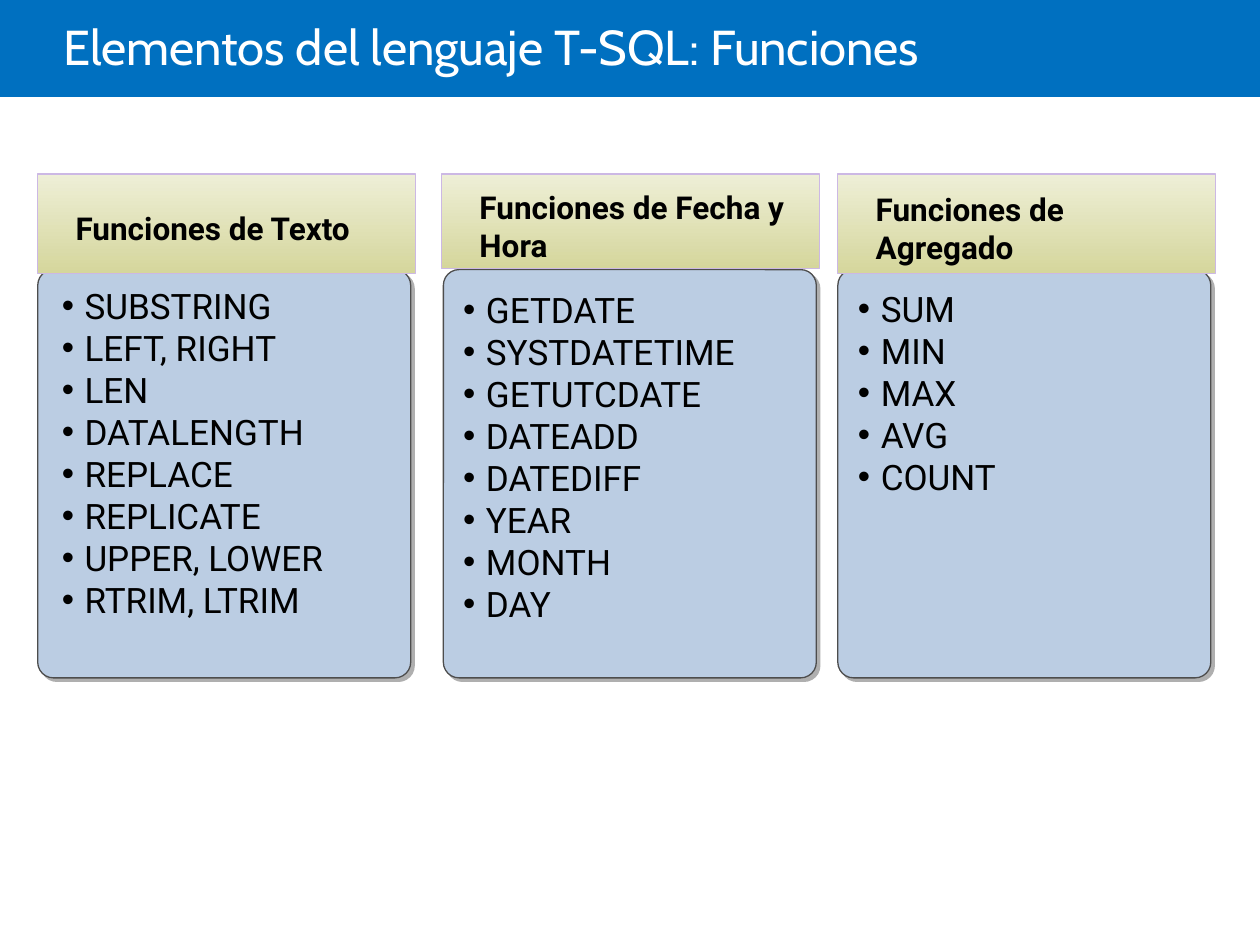
import pptx
import pptx.dml.color
import pptx.enum.shapes
import pptx.enum.text
import pptx.oxml
import pptx.oxml.ns
import pptx.util

Pt = pptx.util.Pt
SHAPE = pptx.enum.shapes.MSO_SHAPE
ANCHOR = pptx.enum.text.MSO_ANCHOR
NAMESPACE = pptx.oxml.ns.nsdecls("a")

CARD_TOP, CARD_WIDTH, CARD_HEIGHT = 154.1, 213.1, 233.3
HEADER_TOP, HEADER_WIDTH = 99.4, 216

# card left, header left and height, list left, top and width, heading, functions
COLUMNS = [
    (21.6, 21.6, 56.9, 35.3, 162.7, 190, "Funciones de Texto",
     ["SUBSTRING", "LEFT, RIGHT", "LEN", "DATALENGTH", "REPLACE",
      "REPLICATE", "UPPER, LOWER", "RTRIM, LTRIM"]),
    (253.4, 252.4, 54, 264.7, 164.6, 201.6, "Funciones de Fecha y Hora",
     ["GETDATE", "SYSTDATETIME", "GETUTCDATE", "DATEADD", "DATEDIFF",
      "YEAR", "MONTH", "DAY"]),
    (478.8, 478.8, 56.9, 490.3, 164.2, 206.6, "Funciones de Agregado",
     ["SUM", "MIN", "MAX", "AVG", "COUNT"]),
]


def rgb(value):
    return pptx.dml.color.RGBColor.from_string(value)


class SlideBuilder:
    title_font = "Cabin"
    body_font = "Roboto"
    bar_color = "0070C0"
    card_color, card_line, card_shadow = "BBCDE3", "4D4D4D", "AFAFAF"
    header_colors, header_line = ("EEEFD7", "D5D69C"), "CCB8E4"

    def __init__(self, page):
        self.page = page

    def shape(self, kind, left, top, width, height, line=None):
        shape = self.page.shapes.add_shape(
            kind, Pt(left), Pt(top), Pt(width), Pt(height))
        shape.shadow.inherit = False
        if line:
            shape.line.color.rgb = rgb(line)
            shape.line.width = Pt(0.75)
        else:
            shape.line.fill.background()
        return shape

    def set_frame(self, frame, insets, anchor):
        frame.word_wrap = True
        frame.auto_size = pptx.enum.text.MSO_AUTO_SIZE.NONE
        frame.vertical_anchor = anchor
        (frame.margin_left, frame.margin_top,
         frame.margin_right, frame.margin_bottom) = map(Pt, insets)

    def format_text(self, frame, font, size, color, bold=False):
        for para in frame.paragraphs:
            para.alignment = pptx.enum.text.PP_ALIGN.LEFT
            for span in para.runs:
                span.font.name = font
                span.font.size = Pt(size)
                span.font.bold = bold
                span.font.color.rgb = rgb(color)

    def title(self, text):
        """Fill the title placeholder and lay the blue bar behind it."""
        title = self.page.shapes.title
        title.left, title.top, title.width, title.height = map(
            Pt, (36, 0, 612, 58.3))
        frame = title.text_frame
        frame.text = text
        self.set_frame(frame, (0, 3.6, 7.2, 3.6), ANCHOR.MIDDLE)
        self.format_text(frame, self.title_font, 28, "FFFFFF")
        frame.paragraphs[0].line_spacing = 0.85
        bar = self.shape(SHAPE.RECTANGLE, 0, 0, 720, 55.4)
        bar.fill.solid()
        bar.fill.fore_color.rgb = rgb(self.bar_color)
        title.element.addprevious(bar.element)

    def card(self, left):
        card = self.shape(SHAPE.ROUNDED_RECTANGLE, left, CARD_TOP,
                          CARD_WIDTH, CARD_HEIGHT, self.card_line)
        card.adjustments[0] = 0.042
        card.fill.solid()
        card.fill.fore_color.rgb = rgb(self.card_color)
        effects = card.element.spPr.find(pptx.oxml.ns.qn("a:effectLst"))
        effects.append(pptx.oxml.parse_xml(
            f'<a:outerShdw {NAMESPACE} dist="{Pt(2.8)}" dir="2700000" '
            f'algn="ctr" rotWithShape="0"><a:srgbClr val="{self.card_shadow}"/>'
            '</a:outerShdw>'))

    def bullet_list(self, left, top, width, items):
        box = self.page.shapes.add_textbox(
            Pt(left), Pt(top), Pt(width), Pt(214.6))
        frame = box.text_frame
        frame.text = "\n".join(items)
        self.set_frame(frame, (0, 0, 0, 0), ANCHOR.TOP)
        self.format_text(frame, self.body_font, 20, "000000")
        for para in frame.paragraphs:
            properties = para._p.get_or_add_pPr()
            properties.set("marL", str(Pt(13)))
            properties.set("indent", str(-Pt(13)))
            for bullet in ('buFont {} typeface="Arial"', 'buChar {} char="•"'):
                properties.append(pptx.oxml.parse_xml(
                    f"<a:{bullet.format(NAMESPACE)}/>"))

    def header(self, left, height, text):
        header = self.shape(SHAPE.RECTANGLE, left, HEADER_TOP,
                            HEADER_WIDTH, height, self.header_line)
        header.fill.gradient()
        header.fill.gradient_angle = 270
        for stop, color in zip(header.fill.gradient_stops, self.header_colors):
            stop.color.rgb = rgb(color)
        frame = header.text_frame
        frame.text = text
        self.set_frame(frame, (21.6, 8.6, 7.2, 3.6), ANCHOR.MIDDLE)
        self.format_text(frame, self.body_font, 18, "000000", bold=True)


def main():
    deck = pptx.Presentation()
    deck.slide_width, deck.slide_height = Pt(720), Pt(540)
    builder = SlideBuilder(deck.slides.add_slide(deck.slide_layouts[5]))
    builder.title("Elementos del lenguaje T-SQL: Funciones")
    for (card_left, header_left, header_height,
         list_left, list_top, list_width, heading, functions) in COLUMNS:
        builder.card(card_left)
        builder.bullet_list(list_left, list_top, list_width, functions)
        builder.header(header_left, header_height, heading)
    deck.save("out.pptx")


if __name__ == "__main__":
    main()
